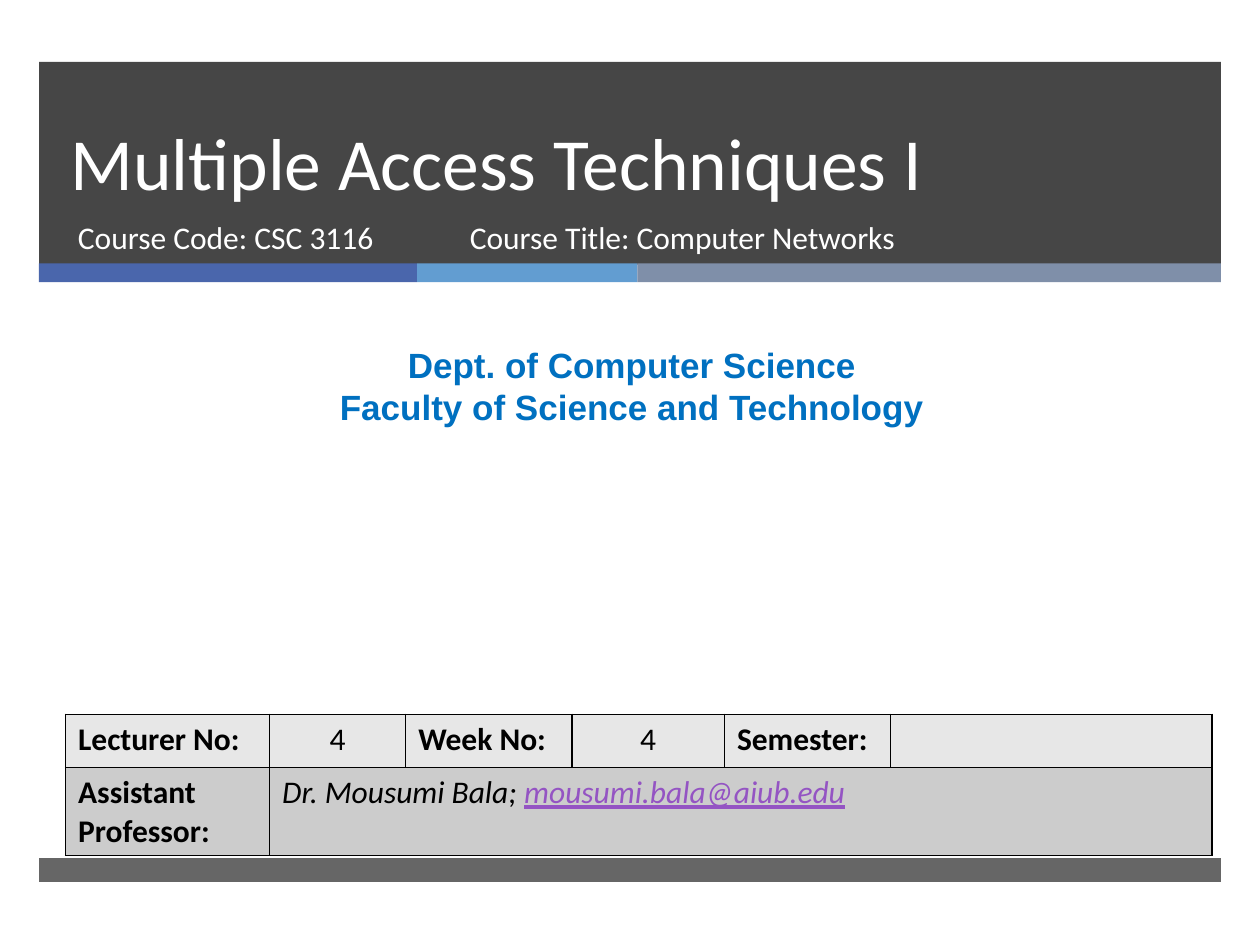
import pptx
import pptx.dml.color
import pptx.enum.shapes
import pptx.enum.text
import pptx.oxml
import pptx.oxml.ns
import pptx.util
from pptx.util import Inches

COLORS = {
    "dark": "262626", "blue": "4A66AC", "sky": "629DD1", "slate": "7F8FA9",
    "white": "FFFFFF", "black": "000000", "heading": "0070C0",
    "email": "9454C3", "light_row": "E7E7E7", "dark_row": "CCCCCC",
}
ALIGN = pptx.enum.text.PP_ALIGN
ANCHOR = pptx.enum.text.MSO_ANCHOR
BAR_LEFT, BAR_WIDTH = 0.31, 9.38


def rgb(name):
    return pptx.dml.color.RGBColor.from_string(COLORS[name])


def style_font(font, size, color, name="Calibri", bold=False, italic=False):
    font.size = pptx.util.Pt(size)
    font.color.rgb = rgb(color)
    font.name = name
    font.bold = bold
    font.italic = italic


def add_bar(page, left, top, width, height, color, opacity=100):
    bar = page.shapes.add_shape(
        pptx.enum.shapes.MSO_SHAPE.RECTANGLE,
        Inches(left), Inches(top), Inches(width), Inches(height))
    bar.shadow.inherit = False
    bar.fill.solid()
    bar.fill.fore_color.rgb = rgb(color)
    bar.line.fill.background()
    if opacity < 100:
        fill_color = bar.fill._xPr.find(".//" + pptx.oxml.ns.qn("a:srgbClr"))
        fill_color.append(pptx.oxml.parse_xml(
            f'<a:alpha {pptx.oxml.ns.nsdecls("a")} val="{opacity * 1000}"/>'))


def add_text(page, left, top, width, height, text, size, color,
             font="Calibri", bold=False, align=ALIGN.LEFT, anchor=ANCHOR.TOP,
             line_spacing=None):
    box = page.shapes.add_textbox(
        Inches(left), Inches(top), Inches(width), Inches(height))
    frame = box.text_frame
    frame.word_wrap = True
    frame.vertical_anchor = anchor
    frame.text = text
    for para in frame.paragraphs:
        para.alignment = align
        if line_spacing:
            para.line_spacing = pptx.util.Pt(line_spacing)
        for span in para.runs:
            style_font(span.font, size, color, font, bold)


def add_borders(cell):
    """Draw a 1 pt black line on all four sides, ahead of the cell fill."""
    properties = cell._tc.get_or_add_tcPr()
    for position, side in enumerate(("lnL", "lnR", "lnT", "lnB")):
        properties.insert(position, pptx.oxml.parse_xml(
            f'<a:{side} {pptx.oxml.ns.nsdecls("a")} w="12700"><a:solidFill>'
            f'<a:srgbClr val="{COLORS["black"]}"/></a:solidFill></a:{side}>'))


def add_lecture_table(page):
    widths = [1.62, 1.08, 1.32, 1.21, 1.32, 2.55]
    heights = [0.42, 0.7]
    rows = [
        ["Lecturer No:", "4", "Week No:", "4", "Semester:", ""],
        ["Assistant Professor:", "", "", "", "", ""],
    ]
    table = page.shapes.add_table(
        len(rows), len(widths), Inches(0.52), Inches(5.67),
        Inches(sum(widths)), Inches(sum(heights))).table
    for column, width in zip(table.columns, widths):
        column.width = Inches(width)
    for row, height in zip(table.rows, heights):
        row.height = Inches(height)

    for row, texts, fill in zip(table.rows, rows, ("light_row", "dark_row")):
        for cell, text in zip(row.cells, texts):
            cell.text = text
            cell.fill.solid()
            cell.fill.fore_color.rgb = rgb(fill)
            add_borders(cell)
            para = cell.text_frame.paragraphs[0]
            style_font(para.font, 18, "black")
            para.alignment = ALIGN.CENTER if text.isdigit() else ALIGN.LEFT
            for span in para.runs:
                style_font(span.font, 18, "black", bold=text.endswith(":"))

    lecturer = table.cell(1, 1)
    lecturer.merge(table.cell(1, len(widths) - 1))
    para = lecturer.text_frame.paragraphs[0]
    for text, color in (("Dr. Mousumi Bala; ", "black"),
                        ("mousumi.bala@aiub.edu", "email")):
        span = para.add_run()
        span.text = text
        style_font(span.font, 18, color, italic=True)
        span.font.underline = color == "email"


def main():
    deck = pptx.Presentation()
    deck.slide_width, deck.slide_height = Inches(10), Inches(7.5)
    page = deck.slides.add_slide(deck.slide_layouts[6])

    add_bar(page, BAR_LEFT, 0.49, BAR_WIDTH, 1.61, "dark", opacity=85)
    left = BAR_LEFT
    for color, width in (("blue", 3), ("sky", 1.75), ("slate", 4.63)):
        add_bar(page, left, 2.09, width, 0.15, color)
        left += width
    add_bar(page, BAR_LEFT, 6.81, BAR_WIDTH, 0.19, "dark", opacity=70)

    add_text(page, 0.46, 0.49, 8.54, 1.19, "Multiple Access Techniques I",
             42, "white", anchor=ANCHOR.BOTTOM, line_spacing=46)
    add_text(page, 0.52, 1.68, 3.05, 0.53, "Course Code: CSC 3116", 18, "white")
    add_text(page, 3.63, 1.68, 4.55, 0.53, "Course Title: Computer Networks",
             18, "white")
    add_text(page, 0.08, 2.68, 9.87, 0.77,
             "Dept. of Computer Science\nFaculty of Science and Technology",
             20, "heading", font="Arial", bold=True, align=ALIGN.CENTER)
    add_lecture_table(page)
    deck.save("out.pptx")


if __name__ == "__main__":
    main()
